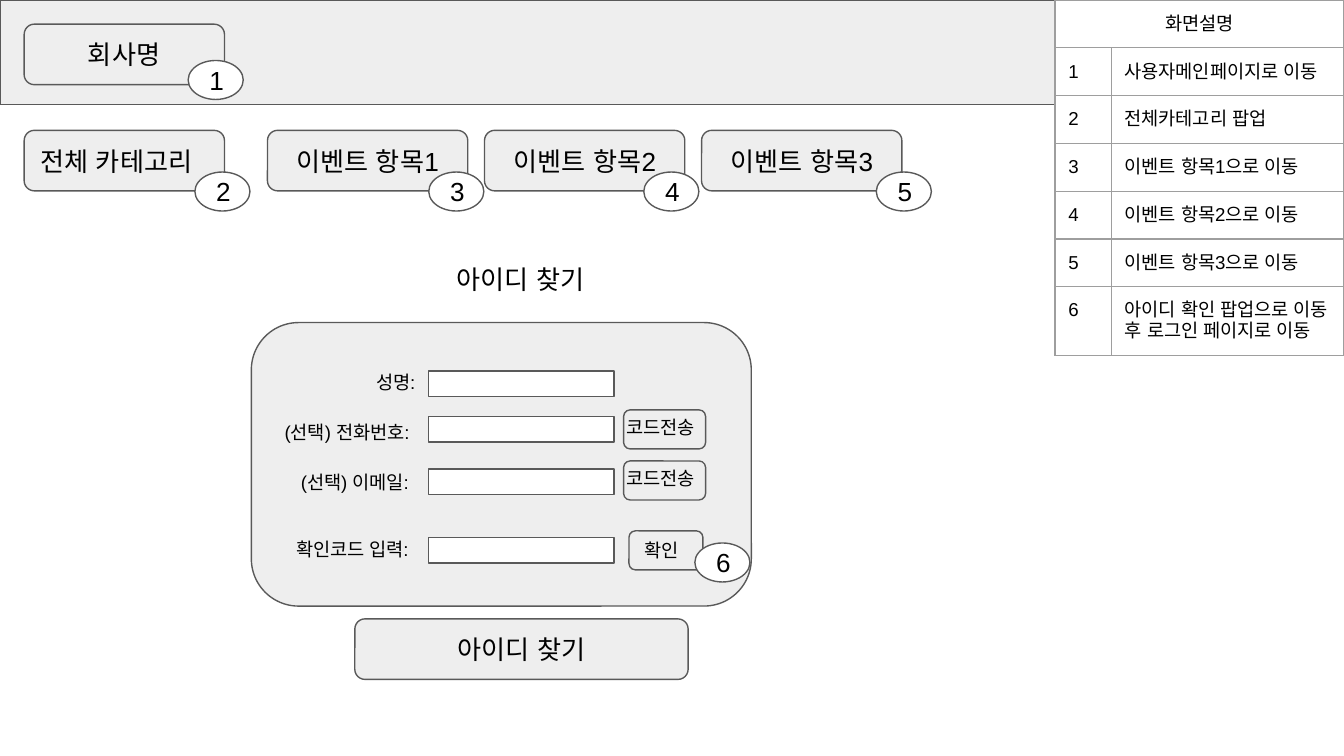
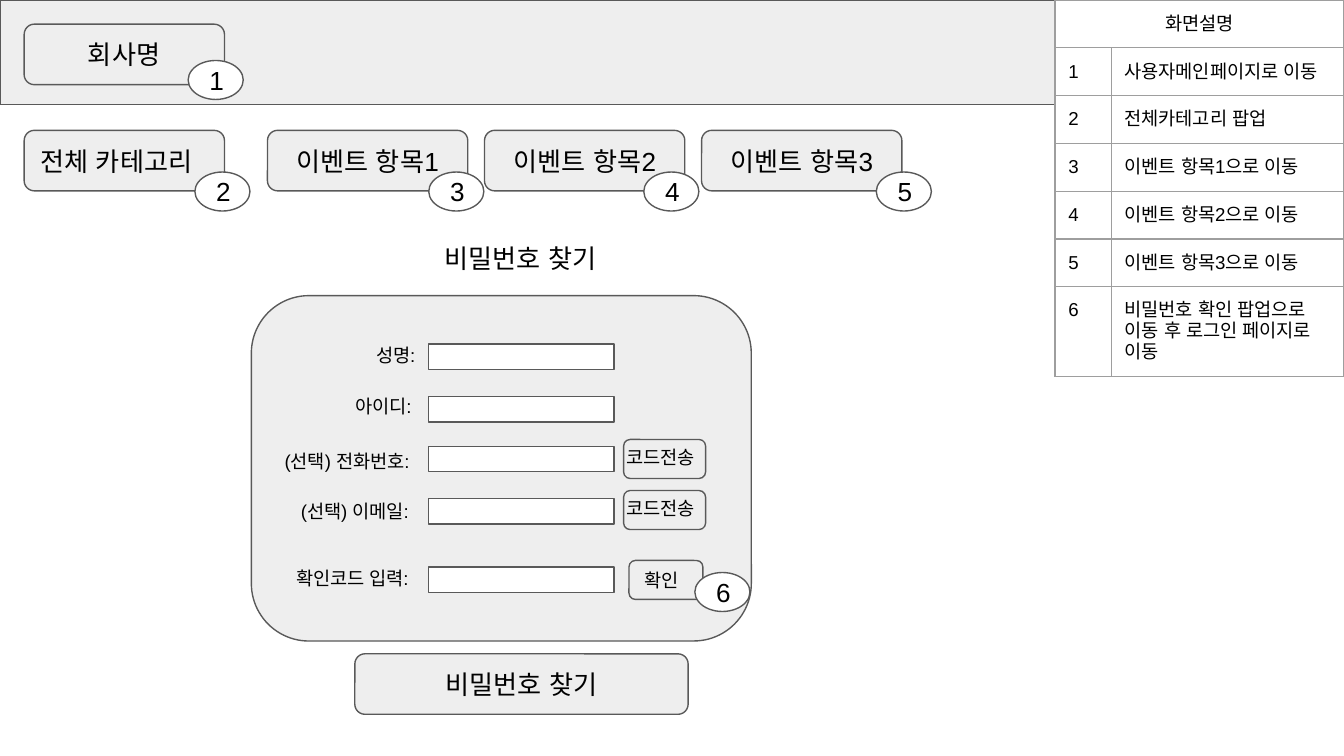
"""Build two wireframe pages for account recovery with a shared header and guide table."""
from lxml.etree import SubElement
from pptx import Presentation
from pptx.dml.color import RGBColor
from pptx.enum.shapes import MSO_SHAPE as Shape
from pptx.enum.text import MSO_ANCHOR as Anchor, MSO_AUTO_SIZE as AutoSize, PP_ALIGN as Align
from pptx.oxml.ns import qn
from pptx.util import Inches, Pt

COLORS = {"panel": "EEEEEE", "paper": "FFFFFF", "line": "595959", "grid": "9E9E9E", "ink": "000000"}
FONT = "Arial"
COLUMNS, ROWS = 100, 56.25
WIDTH, HEIGHT = Inches(10), Inches(5.625)
EVENTS = [f"이벤트 항목{number}" for number in (1, 2, 3)]


def columns(count):
    return round(WIDTH * count / COLUMNS)


def rows(count):
    return round(HEIGHT * count / ROWS)


def area(left, top, width, height):
    return columns(left), rows(top), columns(width), rows(height)


def color(name):
    return RGBColor.from_string(COLORS[name])


def write(frame, text, size=14, align=Align.LEFT, anchor=Anchor.TOP, indent=0):
    frame.word_wrap = True
    frame.auto_size = AutoSize.NONE
    frame.vertical_anchor = anchor
    frame.margin_left = frame.margin_right = columns(1)
    frame.margin_top = frame.margin_bottom = rows(1)
    write_line(frame, text, size=size, align=align, indent=indent)


def write_line(frame, text, size=10, align=Align.LEFT, indent=0):
    para = frame.paragraphs[0]
    para.alignment = align
    if indent:
        settings = para._p.get_or_add_pPr()
        settings.set("marL", str(columns(indent)))
        settings.set("indent", "0")
    span = para.add_run()
    span.text = text
    span.font.size = Pt(size)
    span.font.color.rgb = color("ink")
    span.font.name = FONT
    for script in ("a:ea", "a:cs"):
        SubElement(span._r.get_or_add_rPr(), qn(script)).set("typeface", FONT)


class Wireframe:
    def __init__(self):
        self.deck = Presentation()
        self.deck.slide_width, self.deck.slide_height = WIDTH, HEIGHT
        self.page = None

    def start_page(self, title, top):
        self.page = self.deck.slides.add_slide(self.deck.slide_layouts[5])
        box = self.page.shapes.title
        box.left, box.top, box.width, box.height = area(27.6, top, 22.3, 4.4)
        write(box.text_frame, title, align=Align.CENTER)

    def block(self, kind, place, text="", fill="panel", size=14, align=Align.CENTER):
        box = self.page.shapes.add_shape(kind, *area(*place))
        box.shadow.inherit = False
        box.fill.solid()
        box.fill.fore_color.rgb = color(fill)
        box.line.color.rgb = color("line")
        box.line.width = Pt(0.75)
        if text:
            write(box.text_frame, text, size=size, align=align, anchor=Anchor.MIDDLE)

    def button(self, left, top, text="", width=14.9, height=4.5, **style):
        self.block(Shape.ROUNDED_RECTANGLE, (left, top, width, height), text, **style)

    def badge(self, number, left, top):
        self.block(Shape.FLOWCHART_CONNECTOR, (left, top, 4.1, 2.9), str(number), fill="paper")

    def label(self, left, top, width, text, height=3.7, indent=0):
        box = self.page.shapes.add_textbox(*area(left, top, width, height))
        write(box.text_frame, text, size=10, indent=indent)

    def field(self, top, text, left, width, rise=1, indent=0):
        self.label(left, top - rise, width, text, indent=indent)
        self.block(Shape.RECTANGLE, (31.9, top, 13.8, 1.9), fill="paper")

    def send_button(self, top):
        self.button(46.4, top, width=6.1, height=2.9)
        self.label(45.6, top - 0.55, 10.6, "코드전송", height=5.4)

    def header(self):
        self.block(Shape.RECTANGLE, (0, 0, 78.5, 7.8))
        self.button(1.8, 1.8, "회사명")
        self.button(1.8, 9.7, "전체 카테고리", align=Align.LEFT)
        for position, event in enumerate(EVENTS):
            self.button(19.9 + 16.15 * position, 9.7, event)
        self.badge(1, 14, 4.5)
        for number, left in enumerate((14.5, 31.9, 47.9, 65.2), start=2):
            self.badge(number, left, 12.8)

    def guide(self, last_step):
        steps = ["사용자메인페이지로 이동", "전체카테고리 팝업"]
        steps += [f"{event}으로 이동" for event in EVENTS] + [last_step]
        count = len(steps) + 1
        table = self.page.shapes.add_table(count, 2, *area(78.5, 0, 21.5, 3.1 * count)).table
        table.first_row = table.horz_banding = False
        for column, width in zip(table.columns, (4.2, 17.3)):
            column.width = columns(width)
        for row in table.rows:
            row.height = rows(3.1)
        table.cell(0, 0).merge(table.cell(0, 1))
        self.cell(table.cell(0, 0), "화면설명", align=Align.CENTER)
        self.cell(table.cell(0, 1))
        for number, step in enumerate(steps, start=1):
            self.cell(table.cell(number, 0), str(number))
            self.cell(table.cell(number, 1), step)

    def cell(self, cell, text="", align=Align.LEFT):
        cell.margin_left = cell.margin_right = columns(1)
        cell.margin_top = cell.margin_bottom = rows(1)
        settings = cell._tc.get_or_add_tcPr()
        for side in ("a:lnL", "a:lnR", "a:lnT", "a:lnB"):
            border = SubElement(settings, qn(side), w=str(Pt(0.75)))
            paint = SubElement(border, qn("a:solidFill"))
            SubElement(paint, qn("a:srgbClr"), val=COLORS["grid"])
        cell.fill.background()
        if text:
            write_line(cell.text_frame, text, align=align)

    def verification(self, top):
        email, code = top + 3.9, top + 9
        self.field(top, "(선택) 전화번호:", 20.2, 14.7, rise=0.7)
        self.field(email, "(선택) 이메일:", 21, 13.8, rise=0.9, indent=0.4)
        self.field(code, "확인코드 입력:", 19.9, 14.9, indent=1.15)
        self.send_button(top - 0.5)
        self.send_button(email - 0.6)
        self.button(46.8, code - 0.5, "확인", width=5.5, height=2.9, size=10, align=Align.LEFT)
        self.badge(6, 51.7, code + 0.4)

    def recovery_page(self, title, title_top, panel_top, panel_height, phone_top, last_step, ask_id=False):
        self.start_page(title, title_top)
        self.header()
        self.guide(last_step)
        self.button(18.7, panel_top, width=37.2, height=panel_height)
        name_top = panel_top + 3.6
        self.field(name_top, "성명:", 24.3, 9.4, indent=2.7)
        if ask_id:
            self.field(name_top + 3.9, "아이디:", 24.3, 10.6, rise=1.1, indent=1.15)
        self.verification(phone_top)
        self.button(26.4, panel_top + panel_height + 0.95, title, width=24.8)


wireframe = Wireframe()
wireframe.recovery_page("아이디 찾기", 18.6, 24, 21.1, 31,
                        "아이디 확인 팝업으로 이동 후 로그인 페이지로 이동")
wireframe.recovery_page("비밀번호 찾기", 17, 22, 25.7, 33.2,
                        "비밀번호 확인 팝업으로 이동 후 로그인 페이지로 이동", ask_id=True)
wireframe.deck.save("out.pptx")
